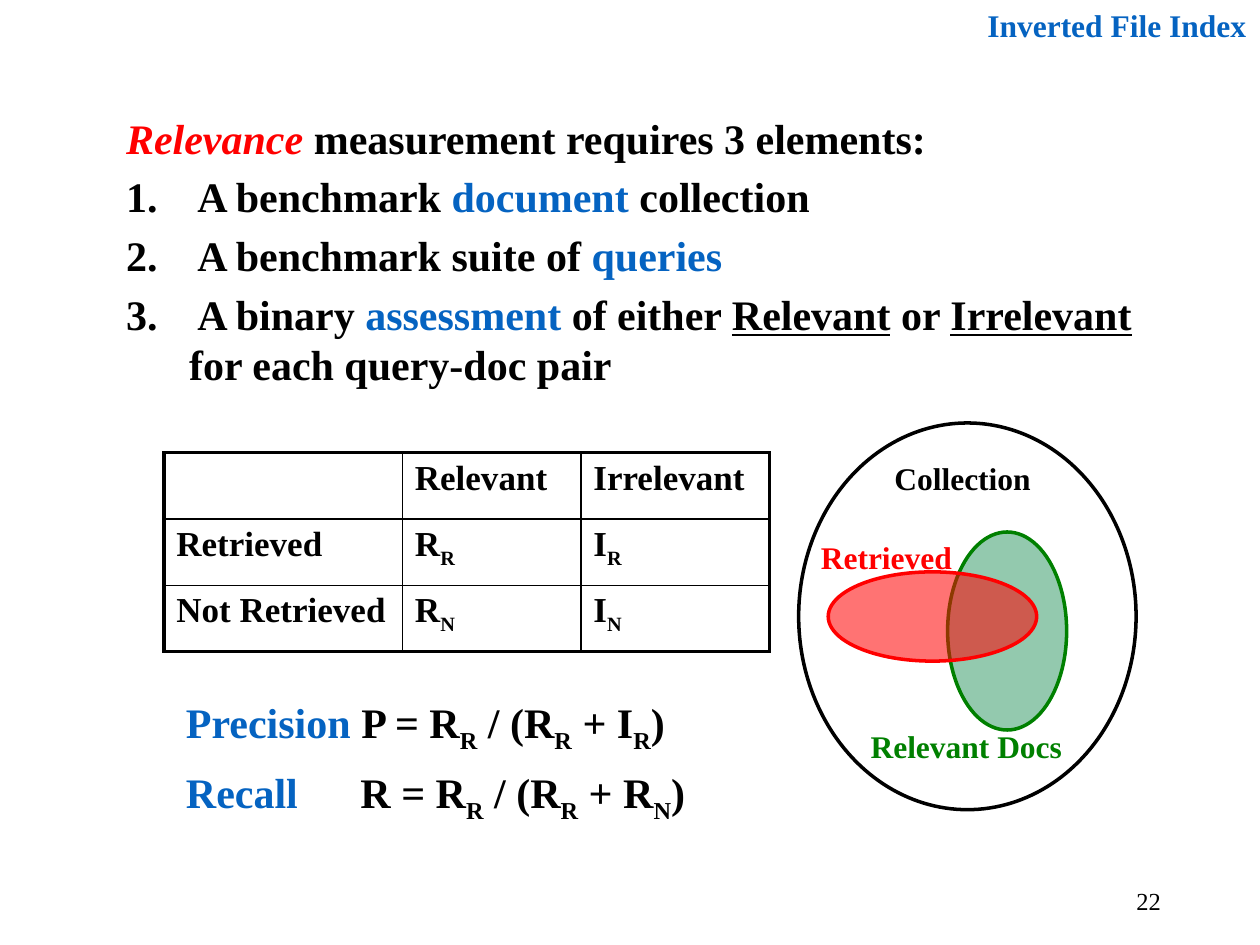
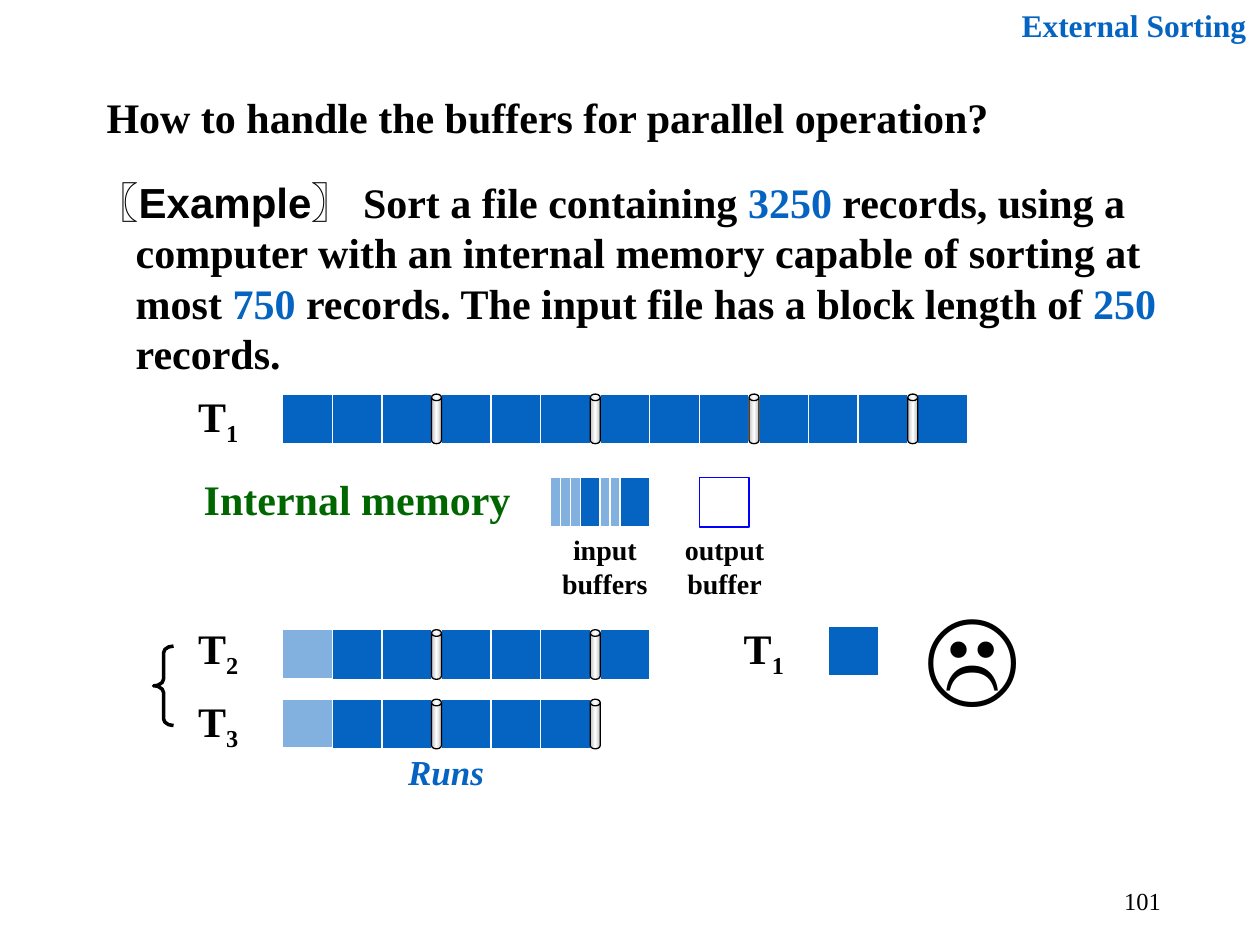
from dataclasses import dataclass, field

from lxml.etree import SubElement
from pptx import Presentation
from pptx.dml.color import RGBColor
from pptx.enum.shapes import MSO_SHAPE
from pptx.enum.text import MSO_ANCHOR, PP_ALIGN
from pptx.oxml.ns import qn
from pptx.util import Pt

BLACK, WHITE, BLUE, RED = "000000", "FFFFFF", "0563C1", "FF0000"
GREEN, DARK_GREEN, SEA_GREEN, SILVER = "008000", "006600", "339966", "C0C0C0"
OUTPUT_BLUE = "0000FF"
SERIF, SANS, CHINESE = "Times New Roman", "Arial", "Noto Sans CJK SC"
LEFT, CENTER, RIGHT = PP_ALIGN.LEFT, PP_ALIGN.CENTER, PP_ALIGN.RIGHT

BLOCK = 28.35
SLIVER = BLOCK / 5
RUN_LENGTH = 3
TAPE_LEFT = 161.57
MEMORY_LEFT, MEMORY_TOP = 314.65, 272.9


@dataclass
class Span:
    text: str
    color: str = BLACK
    font: str = SERIF
    format: dict = field(default_factory=dict)
    subscript: bool = False


@dataclass
class Para:
    spans: list[Span]
    space_after: float = 0
    indent: float = 0
    numbered: bool = False
    tab: float = 0


@dataclass
class Label:
    left: float
    top: float
    width: float
    height: float
    paras: list[Para]
    size: float = 24
    align: PP_ALIGN = LEFT
    anchor: MSO_ANCHOR = MSO_ANCHOR.TOP
    bold: bool = True


@dataclass
class Figure:
    kind: MSO_SHAPE
    left: float
    top: float
    width: float
    height: float
    fill: str = ""
    line: str = WHITE
    weight: float = 0.75
    opacity: int = 100
    adjustment: float | None = None


@dataclass
class Tape:
    name: str
    label_top: float
    top: float
    blocks: int
    consumed: int = 0


def rgb(value: str) -> RGBColor:
    return RGBColor.from_string(value)


def apply(target, values: dict) -> None:
    for name, value in values.items():
        setattr(target, name, value)


def line(text: str, color: str = BLACK, **format) -> list[Para]:
    return [Para([Span(text, color, format=format)])]


def indexed(letter: str, index: str) -> list[Span]:
    return [Span(letter), Span(index, subscript=True)]


def write_para(para, content: Para, size: float, align: PP_ALIGN, bold: bool) -> None:
    properties = para._p.get_or_add_pPr()
    if content.indent:
        properties.set("marL", str(Pt(content.indent)))
        properties.set("indent", str(-Pt(content.indent)))
    if content.numbered:
        SubElement(properties, qn("a:buAutoNum"), type="arabicPeriod")
    if content.tab:
        stops = SubElement(properties, qn("a:tabLst"))
        SubElement(stops, qn("a:tab"), pos=str(Pt(content.tab)), algn="l")
    apply(para, {"alignment": align, "space_after": Pt(content.space_after)})
    for span in content.spans:
        run = para.add_run()
        run.text = span.text
        apply(run.font, {"name": span.font, "size": Pt(size), "bold": bold} | span.format)
        run.font.color.rgb = rgb(span.color)
        run_properties = run._r.get_or_add_rPr()
        if span.font == CHINESE:
            SubElement(run_properties, qn("a:ea"), typeface=CHINESE)
        if span.subscript:
            run_properties.set("baseline", "-25000")


def add_label(page, label: Label) -> None:
    box = page.shapes.add_textbox(
        Pt(label.left), Pt(label.top), Pt(label.width), Pt(label.height))
    frame = box.text_frame
    apply(frame, {"word_wrap": True, "vertical_anchor": label.anchor})
    for number, content in enumerate(label.paras):
        para = frame.add_paragraph() if number else frame.paragraphs[0]
        write_para(para, content, label.size, label.align, label.bold)


def add_figure(page, figure: Figure):
    shape = page.shapes.add_shape(
        figure.kind, Pt(figure.left), Pt(figure.top), Pt(figure.width), Pt(figure.height))
    shape.shadow.inherit = False
    shape.line.color.rgb = rgb(figure.line)
    shape.line.width = Pt(figure.weight)
    if figure.adjustment is not None:
        shape.adjustments[0] = figure.adjustment
    if not figure.fill:
        shape.fill.background()
        return shape
    shape.fill.solid()
    shape.fill.fore_color.rgb = rgb(figure.fill)
    if figure.opacity < 100:
        color = shape._element.spPr.find(qn("a:solidFill"))[0]
        SubElement(color, qn("a:alpha"), val=str(figure.opacity * 1000))
    return shape


def add_page(deck, topic: str, topic_left: float, number: str):
    page = deck.slides.add_slide(deck.slide_layouts[6])
    add_label(page, Label(508.5, 500.4, 162, 28.8, line(number), 14, RIGHT,
                          MSO_ANCHOR.MIDDLE, False))
    add_label(page, Label(topic_left, 0, 719.3 - topic_left, 28.8,
                          line(topic, BLUE), 18, RIGHT))
    return page


def add_relevance_table(page) -> None:
    rows = [
        [[], [Span("Relevant")], [Span("Irrelevant")]],
        [[Span("Retrieved")], indexed("R", "R"), indexed("I", "R")],
        [[Span("Not Retrieved")], indexed("R", "N"), indexed("I", "N")],
    ]
    widths = [136.3, 102, 107.7]
    table = page.shapes.add_table(
        3, 3, Pt(93.6), Pt(258.7), Pt(sum(widths)), Pt(113.7)).table
    apply(table, {"first_row": False, "horz_banding": False})
    for column, width in zip(table.columns, widths):
        column.width = Pt(width)
    for row_number, row in enumerate(rows):
        table.rows[row_number].height = Pt(37.9)
        for column_number, spans in enumerate(row):
            cell = table.cell(row_number, column_number)
            outer_sides = {"lnL": column_number == 0, "lnR": column_number == 2,
                           "lnT": row_number == 0, "lnB": row_number == 2}
            for side, outer in outer_sides.items():
                border = SubElement(cell._tc.get_or_add_tcPr(), qn(f"a:{side}"),
                                    w=str(Pt(2.25 if outer else 1)))
                solid = SubElement(border, qn("a:solidFill"))
                SubElement(solid, qn("a:srgbClr"), val=BLACK)
            cell.fill.background()
            write_para(cell.text_frame.paragraphs[0], Para(spans), 20, LEFT, True)


def formula(name: str, separator: str, letter: str, other: list[Span]) -> Para:
    spans = [Span(name, BLUE), Span(f"{separator}{letter} = "), *indexed("R", "R"),
             Span(" / ("), *indexed("R", "R"), Span(" + "), *other, Span(")")]
    return Para(spans, space_after=7.2, tab=99.7)


def build_relevance_page(deck) -> None:
    page = add_page(deck, "Inverted File Index", 541.4, "22")
    underlined = {"underline": True}
    intro = [Span("Relevance", RED, format={"italic": True}),
             Span(" measurement requires 3 elements:")]
    elements = [
        [Span(" A benchmark "), Span("document", BLUE), Span(" collection")],
        [Span(" A benchmark suite of "), Span("queries", BLUE)],
        [Span(" A binary "), Span("assessment", BLUE), Span(" of either "),
         Span("Relevant", format=underlined), Span(" or "),
         Span("Irrelevant", format=underlined), Span(" for each query-doc pair")],
    ]
    paras = [Para(intro, 4.8, 36)] + [Para(spans, 4.8, 36, True) for spans in elements]
    add_label(page, Label(65, 60.5, 595.5, 168.5, paras))
    add_relevance_table(page)
    add_label(page, Label(99.2, 394.6, 360, 73.4, [
        formula("Precision", " ", "P", indexed("I", "R")),
        formula("Recall", "\t", "R", indexed("R", "N"))]))

    ellipse = MSO_SHAPE.OVAL
    for figure in (
        Figure(ellipse, 456.4, 241.7, 192.8, 221, line=BLACK, weight=2),
        Figure(ellipse, 541.5, 304, 68, 113.2, SEA_GREEN, GREEN, 2, 53),
        Figure(ellipse, 473.3, 326.8, 119.1, 51, RED, RED, 2, 55),
    ):
        add_figure(page, figure)
    for label in (
        Label(496.1, 258.5, 108, 28.8, line("Collection"), 18, CENTER),
        Label(490.4, 411.8, 130.3, 28.8, line("Relevant Docs", GREEN), 18),
        Label(462, 303.8, 102.2, 28.8, line("Retrieved", RED), 18),
    ):
        add_label(page, label)


def add_block(page, left: float, top: float, fill: str = BLUE, width: float = BLOCK,
              outline: str = WHITE, opacity: int = 100) -> None:
    add_figure(page, Figure(MSO_SHAPE.RECTANGLE, left, top, width, BLOCK,
                            fill, outline, opacity=opacity))


def add_run_mark(page, left: float, top: float) -> None:
    mark = add_figure(page, Figure(MSO_SHAPE.CAN, left, top, SLIVER, BLOCK,
                                   WHITE, BLACK, adjustment=0.665))
    mark.fill.gradient()
    mark.fill.gradient_angle = 0
    stops = mark._element.spPr.find(qn("a:gradFill")).find(qn("a:gsLst"))
    stops.clear()
    for position, color in ((0, SILVER), (50, WHITE), (100, SILVER)):
        stop = SubElement(stops, qn("a:gs"), pos=str(position * 1000))
        SubElement(stop, qn("a:srgbClr"), val=color)


def add_tape_name(page, left: float, top: float, number: str) -> None:
    add_label(page, Label(left, top, 51, 36, [Para(indexed("T", number))], align=CENTER))


def add_tape(page, tape: Tape) -> None:
    add_tape_name(page, 99.2, tape.label_top, tape.name)
    marks = []
    for number in range(tape.blocks):
        left = TAPE_LEFT + number * BLOCK + number // RUN_LENGTH * SLIVER
        add_block(page, left, tape.top)
        if number < tape.consumed:
            add_block(page, left, tape.top - 0.5, WHITE, opacity=50)
        if number % RUN_LENGTH == RUN_LENGTH - 1:
            marks.append(left + BLOCK)
    for left in marks:
        add_run_mark(page, left, tape.top)


def build_sorting_page(deck) -> None:
    page = add_page(deck, "External Sorting", 547.2, "101")
    add_label(page, Label(53.8, 49, 607, 36,
                          line("How to handle the buffers for parallel operation?")))
    example = [
        Span("〖", font=CHINESE), Span("Example", font=SANS), Span("〗 ", font=CHINESE),
        Span("Sort a file containing "), Span("3250", BLUE),
        Span(" records, using a computer with an internal memory capable of sorting at most "),
        Span("750", BLUE), Span(" records. The input file has a block length of "),
        Span("250", BLUE), Span(" records."),
    ]
    add_label(page, Label(48.2, 97.2, 652.3, 122.4, [Para(example, indent=22.3)]))

    for tape in (Tape("1", 219.6, 225.2, 13), Tape("2", 352.1, 359.9, 7, 1),
                 Tape("3", 393.8, 399.6, 6, 1)):
        add_tape(page, tape)
    add_figure(page, Figure(MSO_SHAPE.LEFT_BRACE, 87.8, 369.2, 11.4, 45.4,
                            line=BLACK, weight=2, adjustment=0.336))
    add_tape_name(page, 411, 352.1, "1")
    add_block(page, 473.6, 357.8)

    for number, consumed in enumerate((3, 2)):
        left = MEMORY_LEFT + number * BLOCK
        add_block(page, left, MEMORY_TOP)
        for sliver in range(consumed):
            add_block(page, left + sliver * SLIVER, MEMORY_TOP, WHITE, SLIVER, opacity=50)
    add_block(page, MEMORY_LEFT + RUN_LENGTH * BLOCK, MEMORY_TOP, WHITE, outline=OUTPUT_BLUE)

    for label in (
        Label(93.6, 267.1, 221, 36, line("Internal memory", DARK_GREEN), align=CENTER),
        Label(303.1, 301, 85, 46, line("input buffers"), 16, CENTER),
        Label(371.5, 301, 85, 46, line("output buffer"), 16, CENTER),
        Label(218.2, 425.5, 73.4, 31, line("Runs", BLUE, italic=True), 20, CENTER),
        Label(513.4, 332.6, 85, 79.2, line("☹"), 60, CENTER, bold=False),
    ):
        add_label(page, label)


def main() -> None:
    deck = Presentation()
    apply(deck, {"slide_width": Pt(720), "slide_height": Pt(540)})
    build_relevance_page(deck)
    build_sorting_page(deck)
    deck.save("out.pptx")


if __name__ == "__main__":
    main()
